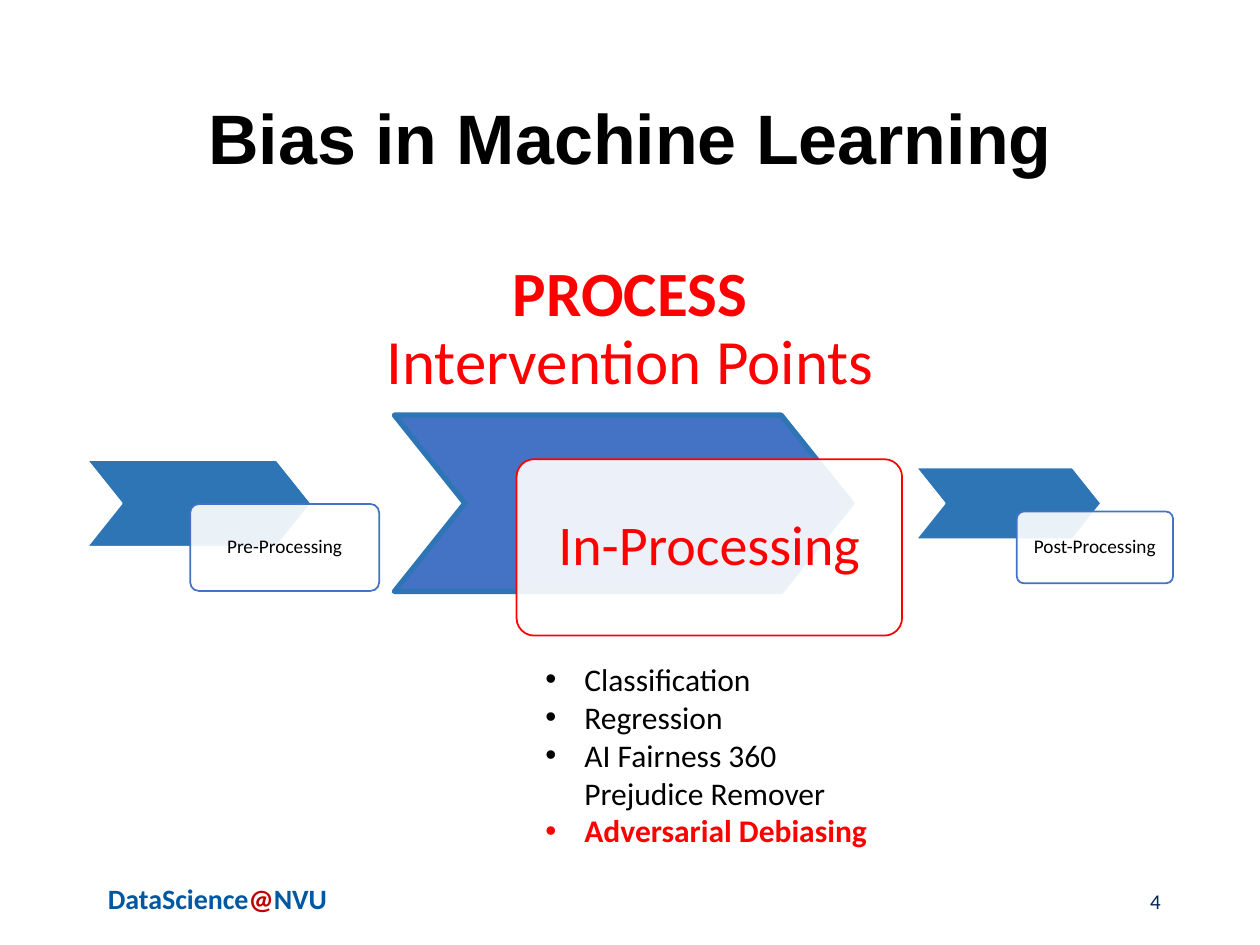
from dataclasses import dataclass

from lxml.etree import SubElement
from pptx import Presentation
from pptx.dml.color import RGBColor
from pptx.enum.shapes import MSO_SHAPE
from pptx.enum.text import MSO_ANCHOR, PP_ALIGN
from pptx.oxml.ns import qn
from pptx.util import Inches, Pt


@dataclass(frozen=True)
class Theme:
    """Colours, fonts and type sizes of the slide."""
    head: str = "Arial"
    body: str = "Calibri"
    black: str = "000000"
    white: str = "FFFFFF"
    red: str = "FF0000"
    blue: str = "4472C4"
    deep: str = "2E75B6"
    brand: str = "0257A1"
    at_sign: str = "C00000"
    navy: str = "002060"
    title: int = 40
    heading: int = 36
    focus: int = 32
    bullet: int = 18
    footer: int = 16
    number: int = 12
    label: int = 11


T = Theme()
WIDTH, HEIGHT = Inches(10), Inches(7.5)
COL, ROW = WIDTH / 100, HEIGHT / 75
MID_ROW, CARD_DROP = 39.95, 3.5


def grid(x, y, w, h):
    """Turn columns and rows into left, top, width and height."""
    return int(x * COL), int(y * ROW), int(w * COL), int(h * ROW)


def rgb(value):
    """Return a colour object for a hex value."""
    return RGBColor.from_string(value)


def style(r, size, color, bold=False, font=T.body):
    """Format one run."""
    r.font.name, r.font.size, r.font.bold = font, Pt(size), bold
    r.font.color.rgb = rgb(color)


def add_text(s, cell, runs, size, align=PP_ALIGN.CENTER, anchor=MSO_ANCHOR.TOP,
             font=T.body, spacing=None):
    """Add a one-paragraph text box from (text, colour, bold) runs."""
    tf = s.shapes.add_textbox(*grid(*cell)).text_frame
    tf.word_wrap, tf.vertical_anchor = True, anchor
    p = tf.paragraphs[0]
    p.alignment, p.line_spacing = align, spacing
    for text, color, bold in runs:
        r = p.add_run()
        r.text = text
        style(r, size, color, bold, font)


def add_bullets(s, cell, items, indent):
    """Add a bulleted list from (text, colour, bold) items."""
    tf = s.shapes.add_textbox(*grid(*cell)).text_frame
    tf.word_wrap = True
    tf.text = "\n".join(text for text, _, _ in items)
    for p, (_, color, bold) in zip(tf.paragraphs, items):
        style(p.runs[0], T.bullet, color, bold)
        pPr = p._p.get_or_add_pPr()
        pPr.set("marL", str(int(indent * COL)))
        pPr.set("indent", str(-int(indent * COL)))
        SubElement(pPr, qn("a:buFont"), typeface="Arial")
        SubElement(pPr, qn("a:buChar"), char="•")


def add_block(s, preset, cell, adjust, fill, line, weight):
    """Add a filled and outlined preset shape."""
    sp = s.shapes.add_shape(preset, *grid(*cell))
    sp.adjustments[0] = adjust
    sp.shadow.inherit = False
    sp.fill.solid()
    sp.fill.fore_color.rgb = rgb(fill)
    sp.line.color.rgb = rgb(line)
    sp.line.width = Pt(weight)
    return sp


def add_step(s, label, x, w, h, card_dx, card_w, focus=False):
    """Add a chevron on the middle row with its overlapping label card."""
    y = MID_ROW - h / 2
    fill, line, weight = (T.blue, T.deep, 3) if focus else (T.deep, T.white, 1)
    add_block(s, MSO_SHAPE.CHEVRON, (x, y, w, h), 0.4, fill, line, weight)
    card = add_block(s, MSO_SHAPE.ROUNDED_RECTANGLE,
                     (x + card_dx, y + CARD_DROP, card_w, h), 0.1,
                     T.white, T.red if focus else T.blue, 1)
    color = card.fill._xPr.find(qn("a:solidFill"))[0]
    SubElement(color, qn("a:alpha"), val="90000")
    tf = card.text_frame
    tf.text = label
    tf.word_wrap, tf.vertical_anchor = True, MSO_ANCHOR.MIDDLE
    inset = Inches(0.25 if focus else 0.09)
    tf.margin_left = tf.margin_right = tf.margin_top = tf.margin_bottom = inset
    p = tf.paragraphs[0]
    p.alignment, p.line_spacing = PP_ALIGN.CENTER, 0.9
    size, color = (T.focus, T.red) if focus else (T.label, T.black)
    style(p.runs[0], size, color)


def main():
    """Build and save the slide."""
    prs = Presentation()
    prs.slide_width, prs.slide_height = WIDTH, HEIGHT
    s = prs.slides.add_slide(prs.slide_layouts[6])

    add_text(s, (6.9, 69.5, 20.7, 5.3),
             [("DataScience", T.brand, True), ("@", T.at_sign, True),
              ("NVU", T.brand, True)], T.footer)
    add_text(s, (6.9, 4, 86.2, 14.5),
             [("Bias in Machine Learning", T.black, True)], T.title,
             anchor=MSO_ANCHOR.MIDDLE, font=T.head, spacing=0.9)
    add_text(s, (70.6, 69.5, 22.5, 4), [("4", T.navy, False)], T.number,
             align=PP_ALIGN.RIGHT, anchor=MSO_ANCHOR.MIDDLE)

    add_step(s, "Pre-Processing", 6.9, 17.8, 6.9, 8.2, 15)
    add_step(s, "In-Processing", 31.3, 36.3, 14, 9.7, 30.6, focus=True)
    add_step(s, "Post-Processing", 72.7, 14.7, 5.7, 8, 12.4)

    add_bullets(s, (42.3, 51.9, 30.1, 19.2),
                [("Classification", T.black, False),
                 ("Regression", T.black, False),
                 ("AI Fairness 360 Prejudice Remover", T.black, False),
                 ("Adversarial Debiasing", T.red, True)], indent=3.1)
    add_text(s, (29.5, 25, 41, 7.1),
             [("Intervention Points", T.red, False)], T.heading)
    add_text(s, (36.1, 19.6, 27.8, 7.1), [("PROCESS", T.red, True)], T.heading)

    prs.save("out.pptx")


if __name__ == "__main__":
    main()
